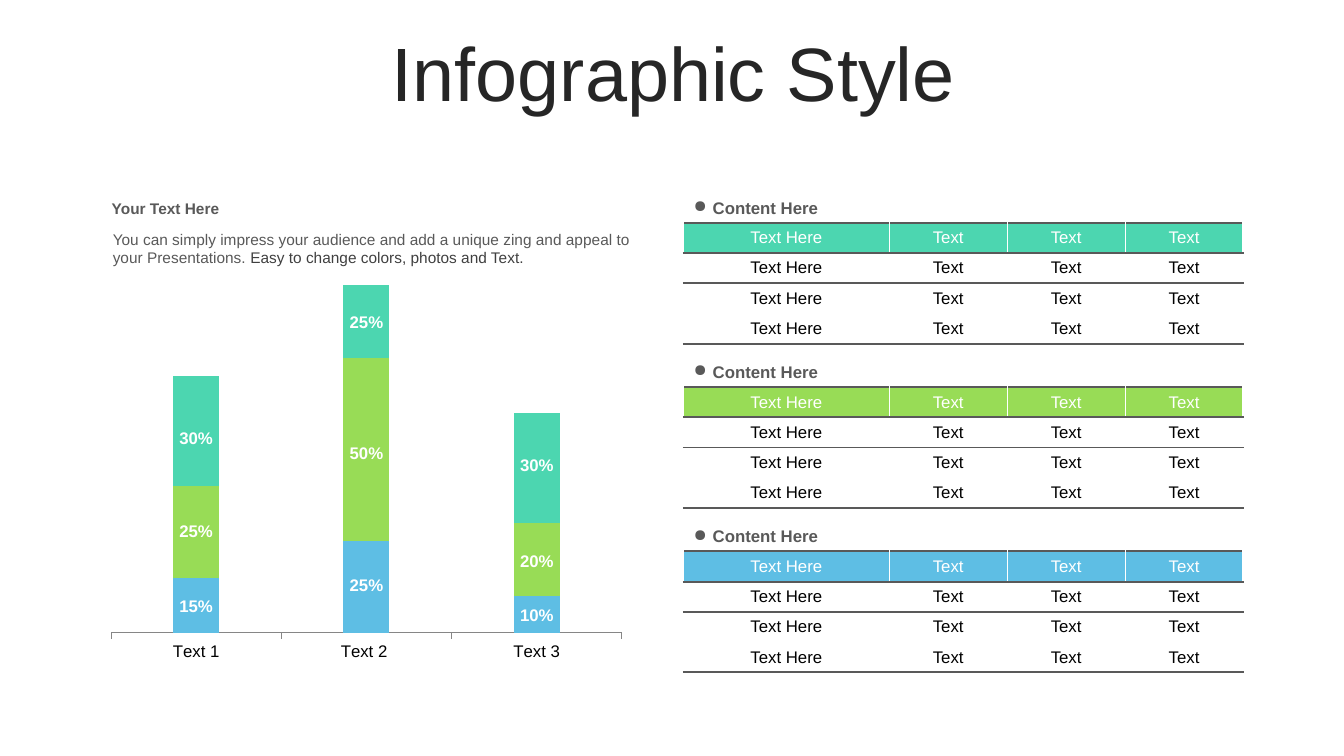
from lxml import etree
from pptx import Presentation
from pptx import util as u
from pptx.chart import data
from pptx.dml import color
from pptx.enum import chart as chart_enum
from pptx.enum import text
from pptx.oxml import ns, parse_xml

PX = 9144
FONT = "Arial"
COLORS = {
    "title": "262626", "body": "595959", "accent": "404040", "axis": "868686",
    "black": "000000", "white": "FFFFFF",
    "teal": "4CD6B0", "green": "98DC56", "blue": "5EBEE4",
}
CATEGORIES = ["Text 1", "Text 2 ", "Text 3"]
SERIES = [
    ("Series 1", (30, 50, 20), "blue"),
    ("Series 2", (50, 100, 40), "green"),
    ("Series 3", (60, 40, 60), "teal"),
]
BAR_LABELS = [
    [("30%", 155), ("25%", 248), ("15%", 322)],
    [("25%", 40), ("50%", 170), ("25%", 301)],
    [("30%", 182), ("20%", 277), ("10%", 331)],
]
TABLE_COLUMNS = (204, 117, 117, 117)
ROW_HEIGHT = 30
RULED_EDGES = (0, 1, 2, 4)


def rgb(name):
    """Return the named colour."""
    return color.RGBColor.from_string(COLORS[name])


def style_font(font, size, color_name, bold=False):
    """Set face, size, colour and weight."""
    font.name, font.size, font.bold = FONT, u.Pt(size), bold
    font.color.rgb = rgb(color_name)


def write(frame, *runs, size=12, color_name="body", bold=False, align="LEFT",
          anchor="TOP", bullet=None, line_spacing=None):
    """Write runs, given as text or (text, colour), as one paragraph."""
    frame.word_wrap = True
    frame.vertical_anchor = text.MSO_ANCHOR[anchor]
    paragraph = frame.paragraphs[0]
    paragraph.alignment = text.PP_ALIGN[align]
    if line_spacing:
        paragraph.line_spacing = line_spacing
    if bullet:
        properties = paragraph._p.get_or_add_pPr()
        properties.set("marL", str(19 * PX))
        properties.set("indent", str(-19 * PX))
        etree.SubElement(properties, ns.qn("a:buChar")).set("char", bullet)
    for item in runs:
        words, run_color = item if isinstance(item, tuple) else (item, color_name)
        run = paragraph.add_run()
        run.text = words
        style_font(run.font, size, run_color, bold)


def add_text(slide, box, *runs, **format_options):
    """Add a text box at the given box."""
    shape = slide.shapes.add_textbox(*(length * PX for length in box))
    write(shape.text_frame, *runs, **format_options)


def set_border(cell, side, color_name, width):
    """Draw one side of a table cell."""
    properties = cell._tc.get_or_add_tcPr()
    line = parse_xml(
        f'<a:{side} {ns.nsdecls("a")} w="{u.Pt(width)}"><a:solidFill>'
        f'<a:srgbClr val="{COLORS[color_name]}"/></a:solidFill></a:{side}>')
    position = sum(child.tag.startswith(ns.qn("a:ln")) for child in properties)
    properties.insert(position, line)


def add_intro(slide, left, top, width):
    """Place the heading and paragraph above the chart."""
    add_text(slide, (left, top, width, 29), "Your Text Here", size=11, bold=True)
    add_text(slide, (left + 1, top + 30, width - 1, 47),
             "You can simply impress your audience and add a unique zing and "
             "appeal to your Presentations. ",
             ("Easy to change colors, photos and Text.", "accent"), size=11)


def set_plot_layout(chart, **fractions):
    """Fix the inner plot area as fractions of the chart."""
    plot_area = chart._chartSpace.chart.plotArea
    for old in plot_area.findall(ns.qn("c:layout")):
        plot_area.remove(old)
    values = "".join(f'<c:{key} val="{value}"/>' for key, value in fractions.items())
    plot_area.insert(0, parse_xml(
        f'<c:layout {ns.nsdecls("c")}><c:manualLayout><c:layoutTarget val="inner"/>'
        f'<c:xMode val="edge"/><c:yMode val="edge"/>{values}'
        f'</c:manualLayout></c:layout>'))


def add_stacked_chart(slide, left, top, width, height):
    """Place the stacked columns and their percentage labels."""
    chart_data = data.CategoryChartData()
    chart_data.categories = CATEGORIES
    for name, values, _ in SERIES:
        chart_data.add_series(name, values)
    chart = slide.shapes.add_chart(
        chart_enum.XL_CHART_TYPE.COLUMN_STACKED,
        left * PX, top * PX, width * PX, height * PX, chart_data).chart
    style_font(chart.font, 18, "black")
    chart.has_legend = chart.has_title = False
    plot = chart.plots[0]
    plot.gap_width, plot.overlap, plot.vary_by_categories = 270, 100, False
    for series, (_, _, color_name) in zip(plot.series, SERIES):
        series.format.fill.solid()
        series.format.fill.fore_color.rgb = rgb(color_name)
    axis = chart.category_axis
    style_font(axis.tick_labels.font, 12, "black")
    axis.major_tick_mark = chart_enum.XL_TICK_MARK.OUTSIDE
    axis.format.line.color.rgb = rgb("axis")
    value_axis = chart.value_axis
    value_axis.minimum_scale, value_axis.maximum_scale = 0, 200
    value_axis.has_major_gridlines = value_axis.visible = False
    set_plot_layout(chart, x=0.037, y=0.001, w=0.926, h=0.902)
    for column, labels in enumerate(BAR_LABELS):
        for label, offset in labels:
            add_text(slide, (left + 73 + 169 * column, top + offset, 63, 30), label,
                     color_name="white", bold=True, align="CENTER")


def add_content_table(slide, left, top, header_color):
    """Place a bulleted heading with its four-row table."""
    add_text(slide, (left, top, 219, 30), "Content Here", bold=True, bullet="●")
    row_count = 4
    table = slide.shapes.add_table(
        row_count, len(TABLE_COLUMNS), left * PX, (top + 30) * PX,
        sum(TABLE_COLUMNS) * PX, row_count * ROW_HEIGHT * PX).table
    for column, width in zip(table.columns, TABLE_COLUMNS):
        column.width = width * PX
    for row_index, row in enumerate(table.rows):
        row.height = ROW_HEIGHT * PX
        header = row_index == 0
        for column_index, cell in enumerate(row.cells):
            cell.margin_top = cell.margin_bottom = 3 * PX
            cell.fill.solid()
            cell.fill.fore_color.rgb = rgb(header_color if header else "white")
            write(cell.text_frame, "Text" if column_index else "Text Here",
                  color_name="white" if header else "black", align="CENTER")
            cell.vertical_anchor = text.MSO_ANCHOR.MIDDLE
            for side in ("lnL", "lnR"):
                set_border(cell, side, "white", 1)
            for side, edge in (("lnT", row_index), ("lnB", row_index + 1)):
                ruled = edge in RULED_EDGES
                set_border(cell, side, *(("body", 1.5) if ruled else ("white", 1)))


def main():
    """Build the slide and save it."""
    presentation = Presentation()
    presentation.slide_width, presentation.slide_height = 1333 * PX, 750 * PX
    slide = presentation.slides.add_slide(presentation.slide_layouts[6])
    add_text(slide, (35, 37, 1266, 79), "Infographic Style", size=54,
             color_name="title", align="CENTER", anchor="MIDDLE", line_spacing=0.9)
    add_intro(slide, 101, 193, 560)
    add_stacked_chart(slide, 90, 264, 547, 403)
    for index, header_color in enumerate(("teal", "green", "blue")):
        add_content_table(slide, 678, 191 + 163 * index, header_color)
    presentation.save("out.pptx")


if __name__ == "__main__":
    main()
